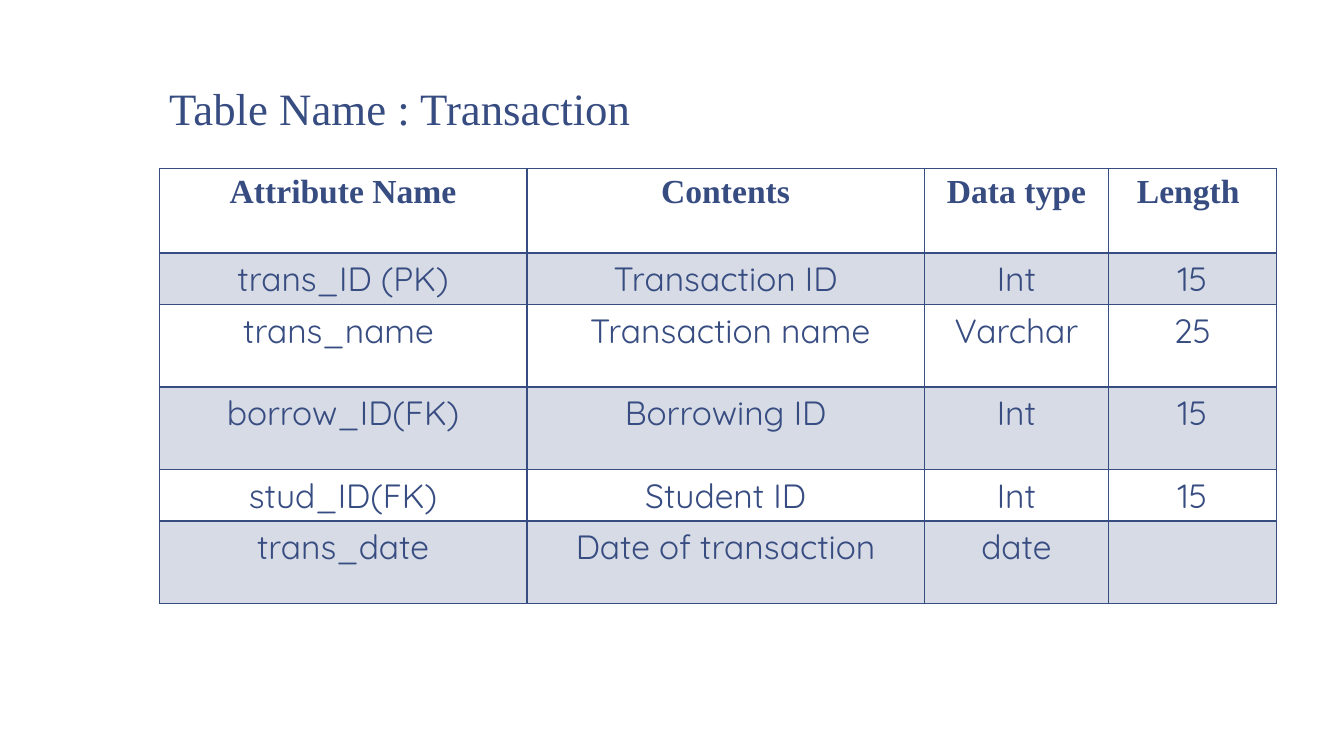
from dataclasses import dataclass

from lxml.etree import SubElement
from pptx import Presentation
from pptx.dml.color import RGBColor
from pptx.enum.text import MSO_ANCHOR, MSO_AUTO_SIZE, PP_ALIGN
from pptx.oxml.ns import qn
from pptx.slide import Slide
from pptx.table import _Cell
from pptx.util import Cm, Pt

NAVY = RGBColor(0x37, 0x4C, 0x81)
HEADING_FONT = "Times New Roman"
BODY_FONT = "Quicksand"
LEFT = Cm(4.01)
COLUMN_WIDTHS = (9.27, 10.01, 4.65, 4.22)
TITLE_ONLY_LAYOUT = 5


@dataclass(frozen=True)
class AttributeRow:
    texts: tuple[str, str, str, str]
    height: float
    header: bool = False
    shaded: bool = False


ROWS = (
    AttributeRow(("Attribute Name", "Contents", "Data type", "Length "), 2.13, header=True),
    AttributeRow(("trans_ID (PK)", "Transaction ID", "Int", "15"), 1.3, shaded=True),
    AttributeRow(("trans_name ", " Transaction name", "Varchar", "25"), 2.08),
    AttributeRow(("borrow_ID(FK)", "Borrowing ID", "Int", "15"), 2.08, shaded=True),
    AttributeRow(("stud_ID(FK)", "Student ID", "Int", "15"), 1.3),
    AttributeRow(("trans_date", "Date of transaction", "date", ""), 2.08, shaded=True),
)


def add_title(slide: Slide, text: str) -> None:
    title = slide.shapes.title
    title.left, title.top, title.width, title.height = LEFT, Cm(1.9), Cm(12.24), Cm(1.63)
    frame = title.text_frame
    frame.text = text
    frame.word_wrap = False
    frame.auto_size = MSO_AUTO_SIZE.SHAPE_TO_FIT_TEXT
    frame.vertical_anchor = MSO_ANCHOR.TOP
    paragraph = frame.paragraphs[0]
    paragraph.alignment = PP_ALIGN.LEFT
    paragraph.font.name = HEADING_FONT
    paragraph.font.size = Pt(32)
    paragraph.font.color.rgb = NAVY


def set_borders(cell: _Cell, top: float, bottom: float) -> None:
    properties = cell._tc.get_or_add_tcPr()
    for side, width in (("L", 1), ("R", 1), ("T", top), ("B", bottom)):
        line = SubElement(properties, qn(f"a:ln{side}"), w=str(Pt(width)))
        fill = SubElement(line, qn("a:solidFill"))
        SubElement(fill, qn("a:srgbClr"), val=str(NAVY))


def set_fill(cell: _Cell, shaded: bool) -> None:
    if not shaded:
        cell.fill.background()
        return
    cell.fill.solid()
    cell.fill.fore_color.rgb = NAVY
    color = cell._tc.tcPr.find(qn("a:solidFill")).find(qn("a:srgbClr"))
    SubElement(color, qn("a:alpha"), val="20000")


def format_cell(cell: _Cell, text: str, row: AttributeRow, below_header: bool) -> None:
    cell.text = text
    paragraph = cell.text_frame.paragraphs[0]
    paragraph.alignment = PP_ALIGN.CENTER
    paragraph.font.name = HEADING_FONT if row.header else BODY_FONT
    paragraph.font.size = Pt(24)
    paragraph.font.bold = row.header
    paragraph.font.color.rgb = NAVY
    set_borders(cell, top=2 if below_header else 1, bottom=2 if row.header else 1)
    set_fill(cell, row.shaded)


def add_attribute_table(slide: Slide) -> None:
    width = Cm(sum(COLUMN_WIDTHS))
    height = Cm(sum(row.height for row in ROWS))
    table = slide.shapes.add_table(
        len(ROWS), len(COLUMN_WIDTHS), LEFT, Cm(4.24), width, height
    ).table
    table.first_row = False
    table.horz_banding = False
    for column, column_width in zip(table.columns, COLUMN_WIDTHS):
        column.width = Cm(column_width)
    for index, row in enumerate(ROWS):
        table.rows[index].height = Cm(row.height)
        for cell, text in zip(table.rows[index].cells, row.texts):
            format_cell(cell, text, row, below_header=index == 1)


def main() -> None:
    presentation = Presentation()
    presentation.slide_width, presentation.slide_height = Cm(33.87), Cm(19.05)
    slide = presentation.slides.add_slide(presentation.slide_layouts[TITLE_ONLY_LAYOUT])

    # Heading and data dictionary
    add_title(slide, "Table Name : Transaction")
    add_attribute_table(slide)

    presentation.save("out.pptx")


if __name__ == "__main__":
    main()
